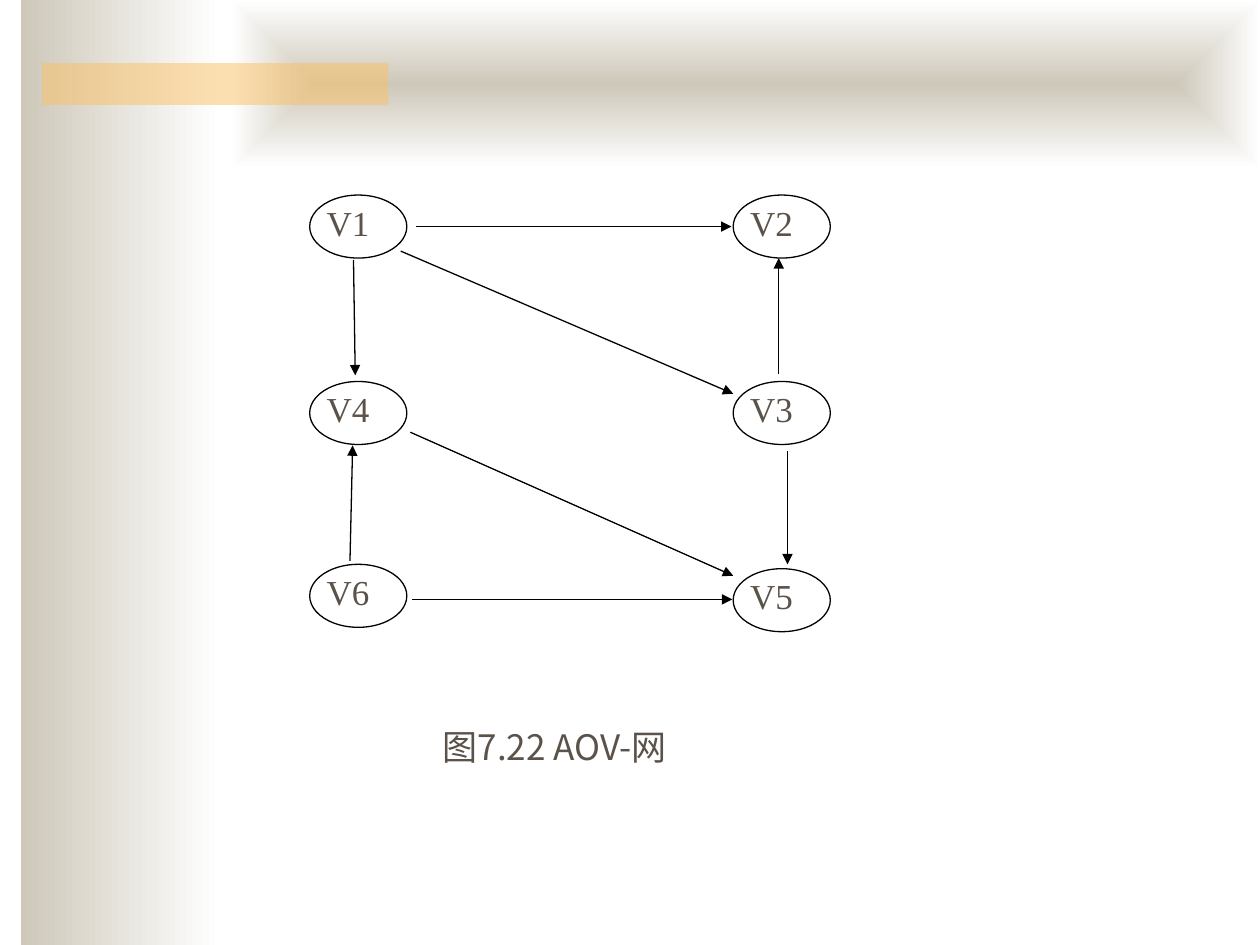
from lxml.etree import SubElement
from pptx import Presentation
from pptx.dml.color import RGBColor
from pptx.enum.shapes import MSO_CONNECTOR, MSO_SHAPE
from pptx.enum.text import PP_ALIGN
from pptx.oxml import parse_xml
from pptx.oxml.ns import nsdecls, qn
from pptx.util import Pt

SAND = RGBColor(0xCE, 0xC8, 0xBA)
WHITE = RGBColor(0xFF, 0xFF, 0xFF)
GOLD = RGBColor(0xFA, 0xC1, 0x64)
BLACK = RGBColor(0, 0, 0)
BROWN = RGBColor(0x5B, 0x52, 0x49)

# Content: node name, left, top
NODES = [
    ("V1", 177, 111.5), ("V6", 177, 322.5), ("V2", 419, 111.5),
    ("V4", 177, 218), ("V3", 419, 218), ("V5", 419, 325),
]
# Edges: start x, y, end x, y
EDGES = [
    (237.5, 129.5, 418, 129.5),  # V1 to V2
    (229, 143.5, 419, 225),      # V1 to V3
    (202, 148.5, 203, 214.5),    # V1 to V4
    (234.5, 247, 419, 329),      # V4 to V5
    (235.5, 342.5, 418.5, 342.5),  # V6 to V5
    (200, 320.5, 201.5, 254.5),  # V6 to V4
    (450, 258, 450, 322.5),      # V3 to V5
    (445, 214, 445, 147.5),      # V3 to V2
]
CAPTION = "图7.22 AOV-网"
NODE_W, NODE_H = 55.5, 36

deck = Presentation()
deck.slide_width, deck.slide_height = Pt(720), Pt(540)
slide = deck.slides.add_slide(deck.slide_layouts[6])
shapes = slide.shapes


def add_form(kind, *box):
    form = shapes.add_shape(kind, *map(Pt, box))
    form.shadow.inherit = False
    form.line.fill.background()
    return form


def add_fade(*box):
    form = add_form(MSO_SHAPE.RECTANGLE, *box)
    form.fill.gradient()
    form.fill.gradient_angle = 0
    for stop, color in zip(form.fill.gradient_stops, (SAND, WHITE)):
        stop.color.rgb = color
    return form


def add_text(text, font, align, *box):
    frame = shapes.add_textbox(*map(Pt, box)).text_frame
    frame.word_wrap = True
    para = frame.paragraphs[0]
    para.text = text
    para.alignment = align
    para.font.name, para.font.size = font, Pt(20)
    para.font.color.rgb = BROWN
    props = para._p.pPr.find(qn("a:defRPr"))
    SubElement(props, qn("a:ea")).set("typeface", font)


# Backdrop: side band, top band fading from its centre, gold bar
add_fade(12, 0, 114, 540)
band = add_fade(132, 0, 588, 96)
lin = band._element.spPr.find(".//" + qn("a:lin"))
lin.getparent().replace(lin, parse_xml(
    f'<a:path {nsdecls("a")} path="rect">'
    '<a:fillToRect l="50000" t="50000" r="50000" b="50000"/></a:path>'))
bar = add_form(MSO_SHAPE.RECTANGLE, 24, 36, 198, 24)
bar.fill.solid()
bar.fill.fore_color.rgb = GOLD
tint = bar._element.spPr.find(".//" + qn("a:srgbClr"))
SubElement(tint, qn("a:alpha")).set("val", "50000")

# Nodes
for name, x, y in NODES:
    add_text(name, "Times New Roman", PP_ALIGN.JUSTIFY, x + 2.5, y, 75.5, 48)
    ring = add_form(MSO_SHAPE.OVAL, x, y, NODE_W, NODE_H)
    ring.fill.background()
    ring.line.color.rgb = BLACK
    ring.line.width = Pt(0.75)

# Arrows
for ends in EDGES:
    edge = shapes.add_connector(MSO_CONNECTOR.STRAIGHT, *map(Pt, ends))
    edge.line.color.rgb = BLACK
    edge.line.width = Pt(0.75)
    SubElement(edge.line._get_or_add_ln(), qn("a:tailEnd")).set("type", "triangle")
    SubElement(edge._element.spPr, qn("a:effectLst"))

# Caption
add_text(CAPTION, "Noto Sans CJK SC", PP_ALIGN.CENTER, 96, 411, 442, 46)

deck.save("out.pptx")
